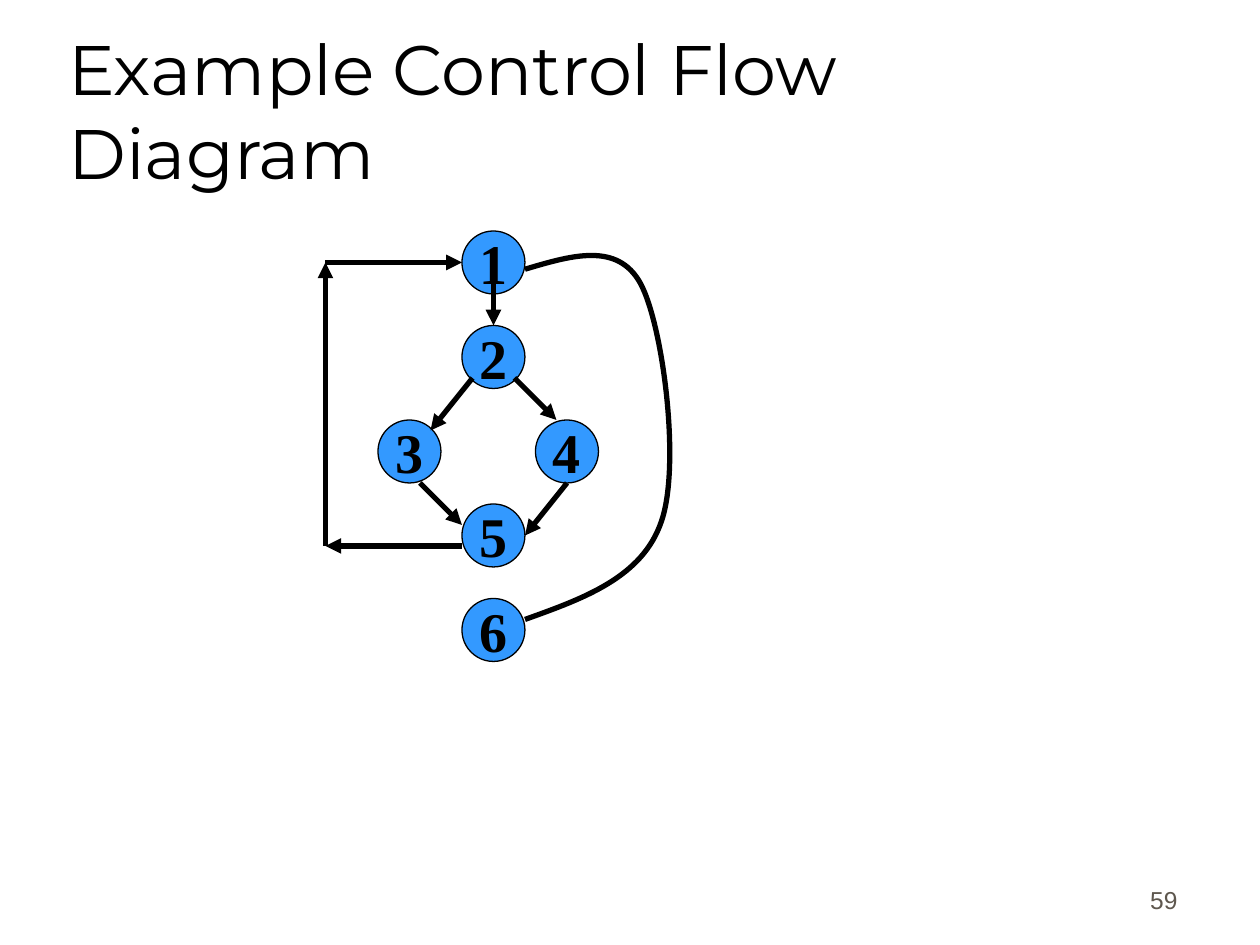
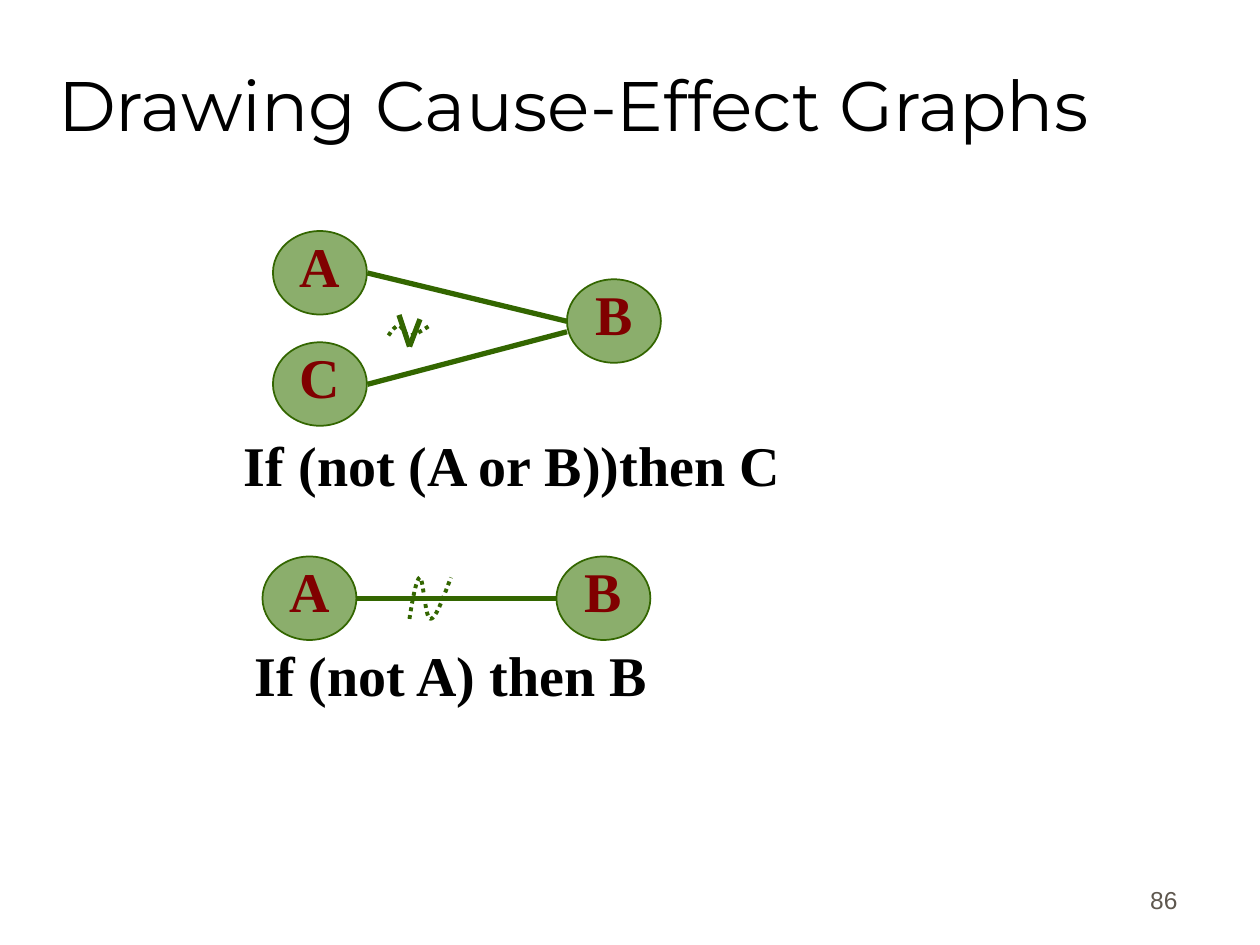
from pptx import Presentation, util as u
from pptx.dml.color import RGBColor
from pptx.enum import dml, shapes, text
from pptx.oxml import parse_xml
from pptx.oxml.ns import nsdecls

INK = {
    "black": "000000",
    "blue": "3399FF",
    "leaf": "8BAE6C",
    "green": "336600",
    "red": "800000",
    "gray": "5E574E",
}
STEP = 2.54 / 12
SERIF = {"name": "Times New Roman", "size": u.Pt(32), "bold": True}
HEAD = {"name": "Montserrat", "size": u.Pt(40), "bold": False}
FOOT = {"name": "Arial", "size": u.Pt(14), "bold": False}
MID = text.MSO_ANCHOR.MIDDLE
LOW = text.MSO_ANCHOR.BOTTOM
LEFT, CENTER, RIGHT = text.PP_ALIGN.LEFT, text.PP_ALIGN.CENTER, text.PP_ALIGN.RIGHT
SLIM = {"margin_left": u.Cm(0.05), "margin_right": u.Cm(0.05)}


def grid(*units):
    return [u.Cm(n * STEP) for n in units]


def rgb(ink):
    return RGBColor.from_string(INK[ink])


def apply(item, form):
    for key, value in form.items():
        setattr(item, key, value)


def write(shape, words, font, ink, frame, para):
    box = shape.text_frame
    apply(box, {"word_wrap": True, "auto_size": text.MSO_AUTO_SIZE.NONE, **frame})
    line = box.paragraphs[0]
    apply(line, para)
    run = line.add_run()
    run.text = words
    apply(run.font, font)
    run.font.color.rgb = rgb(ink)


def start(deck, title, number, top, frame):
    slide = deck.slides.add_slide(deck.slide_layouts[5])
    head = slide.shapes.title
    apply(head, dict(zip(("left", "top", "width", "height"), grid(5.3, top, 102, 15))))
    write(head, title, HEAD, "black", frame, {"alignment": LEFT})
    label(slide, number, (88.33, 81.7, 25, 6), FOOT, "gray",
          {"vertical_anchor": LOW}, {"alignment": RIGHT})
    return slide


def label(slide, words, area, font, ink, frame, para):
    box = slide.shapes.add_textbox(*grid(*area))
    write(box, words, font, ink, frame, para)


def stroke(line, ink, width):
    line.color.rgb = rgb(ink)
    line.width = u.Pt(width)


def node(slide, words, area, look, frame, para):
    fill, edge, ink, width = look
    oval = slide.shapes.add_shape(shapes.MSO_SHAPE.OVAL, *grid(*area))
    oval.shadow.inherit = False
    oval.fill.solid()
    oval.fill.fore_color.rgb = rgb(fill)
    stroke(oval.line, edge, width)
    write(oval, words, SERIF, ink, {"vertical_anchor": MID, **frame},
          {"alignment": CENTER, **para})


def link(slide, begin, end, ink, arrow=False):
    line = slide.shapes.add_connector(shapes.MSO_CONNECTOR.STRAIGHT, *grid(*begin, *end))
    stroke(line.line, ink, 3)
    props = line._element.spPr
    if arrow:
        props.find(".//{*}ln").append(
            parse_xml(f'<a:tailEnd {nsdecls("a")} type="triangle"/>'))
    props.append(parse_xml(f'<a:effectLst {nsdecls("a")}/>'))


def bend(shape):
    sides = shape._element.findall(".//{*}lnTo")
    for i in range(0, len(sides), 3):
        arc = parse_xml(f'<a:cubicBezTo {nsdecls("a")}/>')
        sides[i].addprevious(arc)
        for side in sides[i:i + 3]:
            arc.append(side[0])
            side.getparent().remove(side)


def curve(slide, points, ink, width, dash=None):
    path = [grid(*point) for point in points]
    pen = slide.shapes.build_freeform(*path[0])
    pen.add_line_segments(path[1:], close=False)
    shape = pen.convert_to_shape()
    bend(shape)
    shape.shadow.inherit = False
    shape.fill.background()
    stroke(shape.line, ink, width)
    if dash:
        shape.line.dash_style = dash


def wave(slide, left, top, high):
    form = [(0, 1), (0.3, 0.5), (0.7, 0), (1, 0), (1.3, 0), (1.5, 1), (2, 1),
            (2.5, 1), (3.2, 0.5), (3.95, 0)]
    curve(slide, [(left + x, top + y * high) for x, y in form], "green", 2.25,
          dml.MSO_LINE.ROUND_DOT)


def flow(deck):
    slide = start(deck, "Example Control Flow Diagram", "59", 4, {"vertical_anchor": LOW})
    spots = [(44, 22), (44, 31), (36, 40), (51, 40), (44, 48), (44, 57)]
    for number, spot in enumerate(spots, 1):
        node(slide, str(number), (*spot, 6, 6), ("blue", "black", "black", 0.75),
             {"word_wrap": False}, {})
    steps = [
        ((47, 27), (47, 31)),
        ((45, 36), (41, 41)),
        ((49, 36), (53, 40)),
        ((40, 46), (44, 50)),
        ((54, 46), (50, 51)),
    ]
    loop = [(44, 52), (31, 52), (31, 25), (44, 25)]
    for begin, end in steps + list(zip(loop, loop[1:])):
        link(slide, begin, end, "black", arrow=True)
    curve(slide, [(50, 25.65), (54.4, 24.35), (58.8, 23), (61, 27), (63.15, 31),
                  (64.85, 44.3), (63, 49.65), (61.2, 55), (55.6, 57), (50, 59)], "black", 3)


def cause(deck):
    slide = start(deck, "Drawing Cause-Effect Graphs", "86", 2.4,
                  {"vertical_anchor": MID, **SLIM})
    tight = {"line_spacing": 0.72}
    causes = [("A", 26, 22), ("B", 54, 26.6), ("C", 26, 32.6), ("A", 25, 53), ("B", 53, 53)]
    for name, left, top in causes:
        node(slide, name, (left, top, 8.95, 7.95), ("leaf", "green", "red", 1), SLIM, tight)
    links = [
        ((35, 26), (54, 30.6)),
        ((35, 36.6), (54, 31.6)),
        ((39, 33), (38, 30)),
        ((39, 33), (40, 30.4)),
        ((34, 57), (53, 57)),
    ]
    for begin, end in links:
        link(slide, begin, end, "green")
    wave(slide, 37, 31, 0.95)
    wave(slide, 39, 55, 3.95)
    rules = [("If (not (A or B))then C", 23, 42.05, 58), ("If (not A) then B", 24, 62.05, 44)]
    for words, left, top, width in rules:
        label(slide, words, (left, top, width, 7.5), SERIF, "black", SLIM, tight)


def main():
    deck = Presentation()
    deck.slide_width, deck.slide_height = u.Cm(25.4), u.Cm(19.05)
    flow(deck)
    cause(deck)
    deck.save("out.pptx")


if __name__ == "__main__":
    main()
